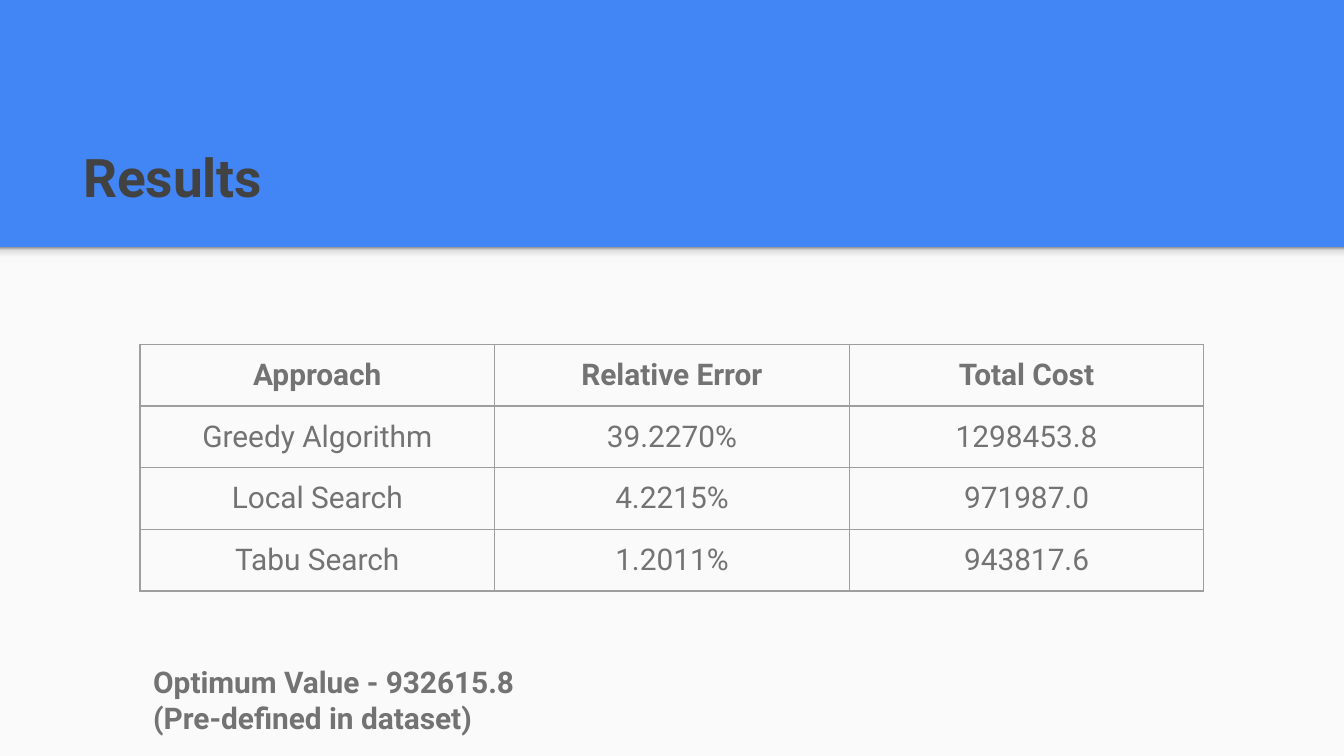
from lxml.etree import SubElement
from pptx import Presentation
from pptx.dml.color import RGBColor
from pptx.enum.shapes import MSO_SHAPE
from pptx.enum.text import MSO_ANCHOR, PP_ALIGN
from pptx.oxml import parse_xml
from pptx.oxml.ns import nsdecls, qn
from pptx.util import Pt

BLUE = RGBColor(0x42, 0x85, 0xF4)
PAPER = RGBColor(0xFA, 0xFA, 0xFA)
DARK = RGBColor(0x42, 0x42, 0x42)
GREY = RGBColor(0x73, 0x73, 0x73)
BORDER = RGBColor(0x9E, 0x9E, 0x9E)
SHADE = [
    (0, RGBColor(0xF9, 0xF9, 0xF9)),
    (36, RGBColor(0xF9, 0xF9, 0xF9)),
    (80, RGBColor(0xDE, 0xDE, 0xDE)),
    (100, RGBColor(0x99, 0x99, 0x99)),
]

WIDTH, HEIGHT = 720, 405
BAND_H = 132.5
SHADE_H = 8.5
INSET = Pt(7.2)
INSETS = ("margin_left", "margin_top", "margin_right", "margin_bottom")

TITLE_FONT = {"name": "Roboto", "size": Pt(28.5), "bold": True}
HEAD_FONT = {"name": "Roboto", "size": Pt(16), "bold": True}
BODY_FONT = {**HEAD_FONT, "bold": False}

RESULTS = [
    ("Approach", "Relative Error", "Total Cost"),
    ("Greedy Algorithm", "39.2270%", "1298453.8"),
    ("Local Search", "4.2215%", "971987.0"),
    ("Tabu Search", "1.2011%", "943817.6"),
]


def set_insets(target):
    for side in INSETS:
        setattr(target, side, INSET)


def write(tf, text, font, color, align=PP_ALIGN.LEFT):
    p = tf.paragraphs[0]
    p.alignment = align
    r = p.add_run()
    r.text = text
    for name, value in font.items():
        setattr(r.font, name, value)
    r.font.color.rgb = color


def add_panel(s, box):
    sp = s.shapes.add_shape(MSO_SHAPE.RECTANGLE, *map(Pt, box))
    sp.shadow.inherit = False
    sp.line.fill.background()
    sp.fill.solid()
    sp.fill.fore_color.rgb = PAPER
    return sp


def add_shade(s, box):
    sp = add_panel(s, box)
    sp.fill.gradient()
    sp.fill.gradient_angle = 90
    stops = sp.element.spPr.find(qn("a:gradFill")).find(qn("a:gsLst"))
    for stop in list(stops):
        stops.remove(stop)
    for pos, color in SHADE:
        stop = SubElement(stops, qn("a:gs"), pos=str(pos * 1000))
        SubElement(stop, qn("a:srgbClr"), val=str(color))


def place_title(s, box, text):
    sp = s.shapes.title
    sp.left, sp.top, sp.width, sp.height = map(Pt, box)
    tf = sp.text_frame
    tf.word_wrap = True
    tf.vertical_anchor = MSO_ANCHOR.BOTTOM
    set_insets(tf)
    write(tf, text, TITLE_FONT, DARK)


def set_borders(cell):
    tcPr = cell._tc.get_or_add_tcPr()
    for i, side in enumerate(("lnL", "lnR", "lnT", "lnB")):
        tcPr.insert(i, parse_xml(
            f'<a:{side} {nsdecls("a")} w="{Pt(0.75)}"><a:solidFill>'
            f'<a:srgbClr val="{BORDER}"/></a:solidFill></a:{side}>'))


def add_results(s, box, rows):
    table = s.shapes.add_table(len(rows), len(rows[0]), *map(Pt, box)).table
    table.first_row = table.horz_banding = False
    for i, row in enumerate(rows):
        for j, text in enumerate(row):
            cell = table.cell(i, j)
            cell.fill.background()
            set_borders(cell)
            set_insets(cell)
            font = BODY_FONT if i else HEAD_FONT
            write(cell.text_frame, text, font, GREY, PP_ALIGN.CENTER)


def add_note(s, box, text):
    tf = s.shapes.add_textbox(*map(Pt, box)).text_frame
    tf.word_wrap = True
    set_insets(tf)
    write(tf, text, HEAD_FONT, GREY)


def main():
    prs = Presentation()
    prs.slide_width, prs.slide_height = Pt(WIDTH), Pt(HEIGHT)
    s = prs.slides.add_slide(prs.slide_layouts[5])
    s.background.fill.solid()
    s.background.fill.fore_color.rgb = BLUE

    add_panel(s, (0, BAND_H, WIDTH, HEIGHT - BAND_H))
    add_shade(s, (0, BAND_H, WIDTH, SHADE_H))
    place_title(s, (37.4, 58.5, 647, 60.5), "Results")
    add_results(s, (75, 184.5, 570, 121), RESULTS)
    add_note(s, (75, 348.5, 212.5, 53),
             "Optimum Value - 932615.8 (Pre-defined in dataset)")
    prs.save("out.pptx")


if __name__ == "__main__":
    main()
